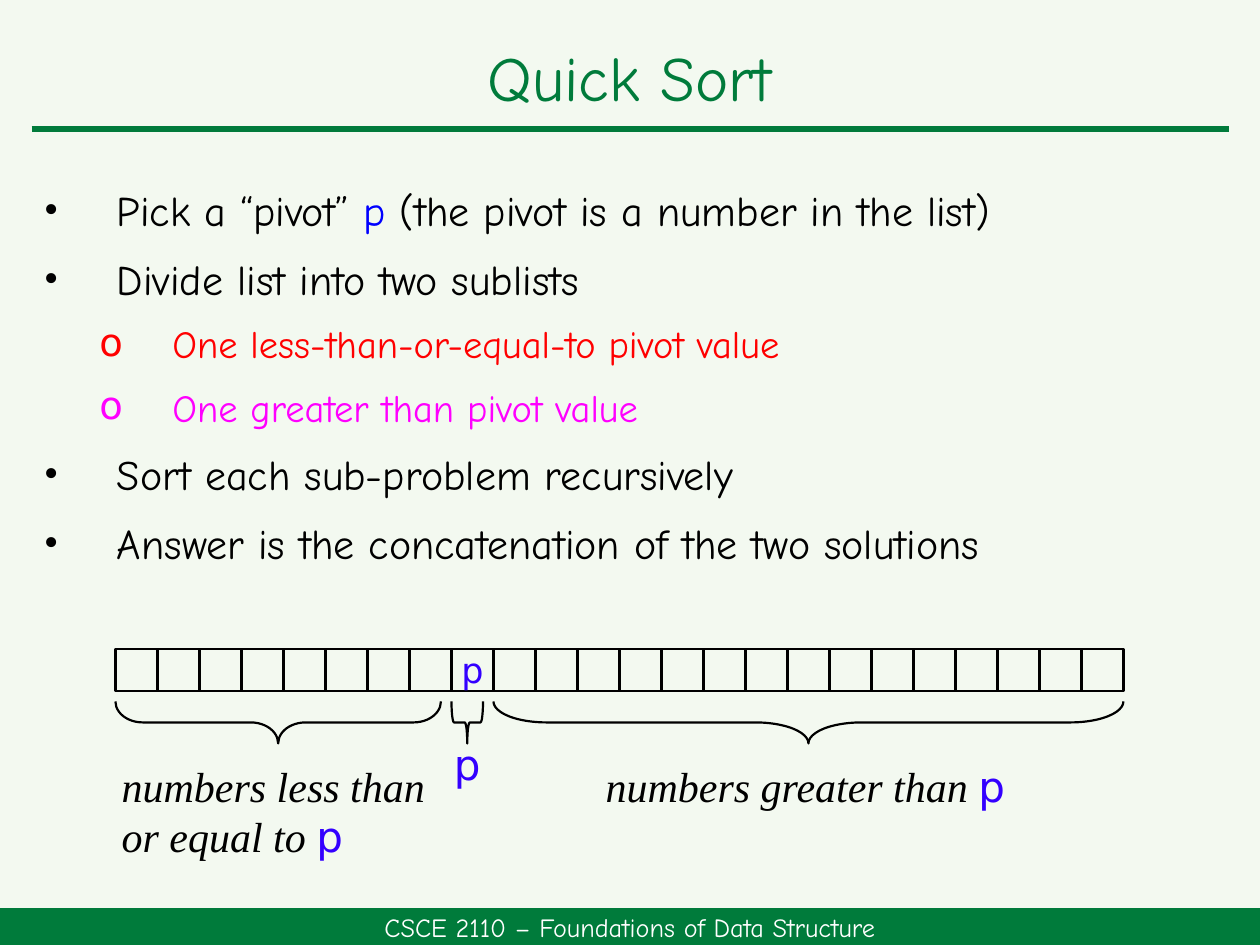
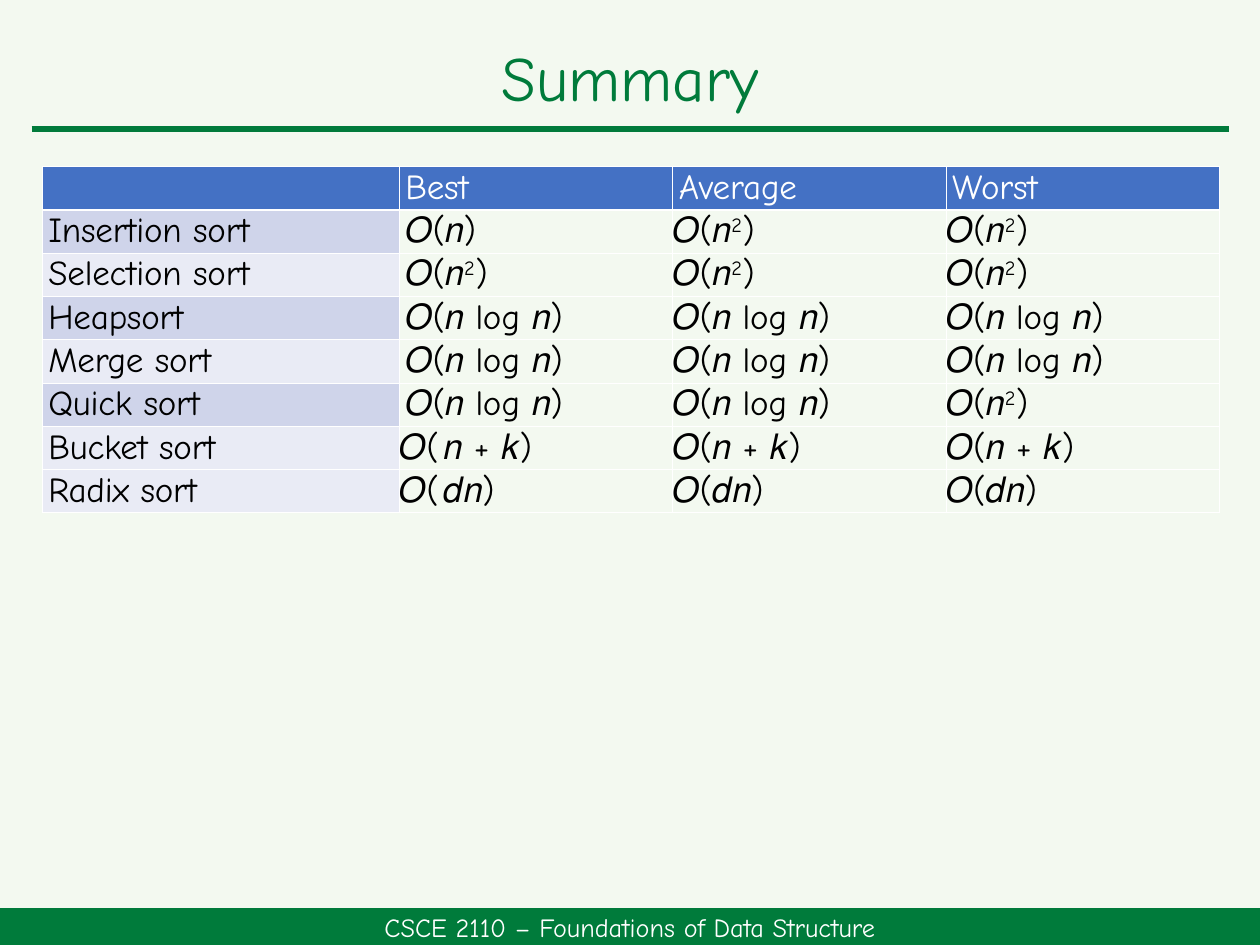
from dataclasses import dataclass

from lxml import etree
from pptx import Presentation
from pptx import util as u
from pptx.dml.color import RGBColor
from pptx.enum import shapes, text
from pptx.oxml.ns import qn


@dataclass(frozen=True)
class Theme:
    font: str = "Comic Neue"
    serif: str = "Times New Roman"
    sans: str = "DejaVu Sans"
    paper: str = "F3F9F0"
    green: str = "007B3B"
    black: str = "000000"
    white: str = "FFFFFF"
    red: str = "FF0000"
    magenta: str = "FF00FF"
    blue: str = "0000FF"
    pivot: str = "3300FF"
    header: str = "4471C4"
    band_dark: str = "CFD4EA"
    band_light: str = "E9EBF5"
    title_size: int = 36
    body_size: int = 24
    sub_size: int = 22
    table_size: int = 20
    footer_size: int = 15


T = Theme()
COLS, ROWS = 120, 90  # grid of twelve units to the inch
CELL = 4
LIST_LEFT, LIST_TOP = 11, 61.8
LIST_CELLS, PIVOT_INDEX = 24, 8
BRACE_TOP = LIST_TOP + 5

# A formula is a list of runs: text, raised, letter spacing in points
LINEAR = [("𝑂(𝑛)", False, 0)]
SQUARE = [("𝑂(", False, 0), ("𝑛", False, 0.2), ("2", True, 0.4), (")", False, 0)]
N_LOG_N = [("𝑂(𝑛 ", False, 0), ("lo", False, -0.1), ("g 𝑛)", False, 0)]
N_PLUS_K = [("𝑂(𝑛 + 𝑘)", False, 0)]
DIGITS = [("𝑂(𝑑𝑛)", False, 0)]
N_PLUS_K_WIDE = [("𝑂", False, 0), ("(", False, 2.7), ("𝑛 + 𝑘)", False, 0)]
DIGITS_WIDE = [("𝑂", False, 0), ("(", False, 2.6), ("𝑑𝑛)", False, 0)]

SUMMARY = [
    ("Insertion sort", LINEAR, SQUARE, SQUARE),
    ("Selection sort", SQUARE, SQUARE, SQUARE),
    ("Heapsort", N_LOG_N, N_LOG_N, N_LOG_N),
    ("Merge sort", N_LOG_N, N_LOG_N, N_LOG_N),
    ("Quick sort", N_LOG_N, N_LOG_N, SQUARE),
    ("Bucket sort", N_PLUS_K_WIDE, N_PLUS_K, N_PLUS_K),
    ("Radix sort", DIGITS_WIDE, DIGITS, DIGITS),
]


def grid(*units):
    return [u.Inches(n / 12) for n in units]


def rgb(color):
    return RGBColor.from_string(color)


def add_run(p, words, size, color, font=T.font, italic=False):
    r = p.add_run()
    r.text = words
    r.font.size, r.font.name, r.font.italic = u.Pt(size), font, italic
    r.font.color.rgb = rgb(color)
    return r


def add_text(s, box, middle=False, align=text.PP_ALIGN.LEFT):
    """Add a wrapping text box and return its text frame."""
    tf = s.shapes.add_textbox(*grid(*box)).text_frame
    tf.word_wrap = True
    if middle:
        tf.vertical_anchor = text.MSO_ANCHOR.MIDDLE
    tf.paragraphs[0].alignment = align
    return tf


def add_outline(s, kind, box, fill=None, line=None):
    sp = s.shapes.add_shape(kind, *grid(*box))
    sp.shadow.inherit = False
    if fill:
        sp.fill.solid()
        sp.fill.fore_color.rgb = rgb(fill)
    else:
        sp.fill.background()
    if line:
        sp.line.color.rgb = rgb(line)
        sp.line.width = u.Pt(1.25)
    else:
        sp.line.fill.background()
    return sp


def center_text(sp):
    """Prepare one centred line in a shape and return its paragraph."""
    tf = sp.text_frame
    tf.word_wrap = False
    tf.vertical_anchor = text.MSO_ANCHOR.MIDDLE
    p = tf.paragraphs[0]
    p.alignment = text.PP_ALIGN.CENTER
    return p


def add_slide(prs, title):
    """Add a slide with the shared background, footer, title and rule."""
    s = prs.slides.add_slide(prs.slide_layouts[6])
    s.background.fill.solid()
    s.background.fill.fore_color.rgb = rgb(T.paper)
    footer = add_outline(s, shapes.MSO_SHAPE.RECTANGLE, (0, 86.5, COLS, 3.5), fill=T.green)
    add_run(center_text(footer), "CSCE 2110 – Foundations of Data Structure",
            T.footer_size, T.white)
    tf = add_text(s, (3, 2.3, COLS - 6, 10), middle=True, align=text.PP_ALIGN.CENTER)
    add_run(tf.paragraphs[0], title, T.title_size, T.green)
    rule = s.shapes.add_connector(shapes.MSO_CONNECTOR.STRAIGHT,
                                  *grid(3, 12.3, COLS - 3, 12.3))
    rule.line.color.rgb = rgb(T.green)
    rule.line.width = u.Pt(3)
    etree.SubElement(rule._element.spPr, qn("a:effectLst"))
    return s


def add_bullet(p, level):
    char, font, left = (("•", T.serif, 0.58), ("o", T.sans, 1.02))[level]
    p.level = level
    p.line_spacing = 1.2
    pPr = p._p.get_or_add_pPr()
    pPr.set("marL", str(u.Inches(left)))
    pPr.set("indent", str(u.Inches(-0.58)))
    before = etree.SubElement(pPr, qn("a:spcBef"))
    etree.SubElement(before, qn("a:spcPct"), val="20000")
    etree.SubElement(pPr, qn("a:buFont"), typeface=font)
    etree.SubElement(pPr, qn("a:buChar"), char=char)


def add_bullets(s, box, items):
    tf = add_text(s, box)
    for i, (level, runs) in enumerate(items):
        p = tf.add_paragraph() if i else tf.paragraphs[0]
        add_bullet(p, level)
        for words, color in runs:
            add_run(p, words, T.sub_size if level else T.body_size, color)


def add_list_cells(s):
    for i in range(LIST_CELLS):
        cell = add_outline(s, shapes.MSO_SHAPE.RECTANGLE,
                           (LIST_LEFT + i * CELL, LIST_TOP, CELL, CELL), line=T.black)
        if i == PIVOT_INDEX:
            add_run(center_text(cell), "p", T.table_size, T.pivot, T.sans)


def add_brace(s, first, count, curve):
    """Add a brace below `count` list cells, starting at cell `first`."""
    span = count * CELL
    middle_x = LIST_LEFT + first * CELL + span / 2
    middle_y = BRACE_TOP + CELL / 2
    box = (middle_x - CELL / 2, middle_y - span / 2, CELL, span)
    brace = add_outline(s, shapes.MSO_SHAPE.LEFT_BRACE, box, line=T.black)
    brace.rotation = 270
    brace.adjustments[0] = curve
    brace.adjustments[1] = 0.5


def add_part_label(s, box, words="", align=text.PP_ALIGN.LEFT):
    """Label a part of the list with words that end in the pivot's letter."""
    p = add_text(s, box, align=align).paragraphs[0]
    p.space_before = u.Pt(15)
    if words:
        add_run(p, words, T.body_size, T.black, T.serif, italic=True)
    add_run(p, "p", T.body_size, T.pivot, T.sans)


def style_cell(cell, fill, top, bottom):
    """Set insets, white borders and fill; top and bottom are line widths."""
    cell.margin_left = cell.margin_right = cell.margin_bottom = 0
    cell.margin_top = u.Inches(0.01)
    tcPr = cell._tc.get_or_add_tcPr()
    for side, width in (("L", 0.5), ("R", 0.5), ("T", top), ("B", bottom)):
        ln = etree.SubElement(tcPr, qn(f"a:ln{side}"), w=str(u.Pt(width)))
        solid = etree.SubElement(ln, qn("a:solidFill"))
        etree.SubElement(solid, qn("a:srgbClr"), val=T.white)
    if fill:
        cell.fill.solid()
        cell.fill.fore_color.rgb = rgb(fill)
    else:
        cell.fill.background()


def fill_cell(cell, runs, color, indented):
    p = cell.text_frame.paragraphs[0]
    p.space_before = u.Pt(1)
    if indented:
        p._p.get_or_add_pPr().set("marL", str(u.Inches(0.05)))
    for words, raised, spacing in runs:
        rPr = add_run(p, words, T.table_size, color).font._element
        if spacing:
            rPr.set("spc", str(round(spacing * 100)))
        if raised:
            rPr.set("baseline", "28000")


def add_summary_table(s):
    rows = [("", "Best", "Average", "Worst"), *SUMMARY]
    widths = grid(34, 26.05, 26.05, 26.05)
    left, top, row_height = grid(4, 15.85, 3.34)
    table = s.shapes.add_table(len(rows), len(widths), left, top,
                               sum(widths), row_height * len(rows)).table
    table.first_row = table.horz_banding = False
    for column, width in zip(table.columns, widths):
        column.width = width
    for i, row in enumerate(rows):
        for j, content in enumerate(row):
            cell = table.cell(i, j)
            if i == 0:
                fill = T.header
            elif j == 0:
                fill = T.band_dark if i in (1, 3, 5) else T.band_light
            else:
                fill = None
            style_cell(cell, fill, 1.5 if i == 1 else 0.5, 1.5 if i == 0 else 0.5)
            if content:
                runs = [(content, False, -0.1)] if isinstance(content, str) else content
                indented = i == 0 or j == 0 or (j == 1 and i <= 5)
                fill_cell(cell, runs, T.white if i == 0 else T.black, indented)


def build_quick_sort(prs):
    s = add_slide(prs, "Quick Sort")
    add_bullets(s, (3, 16, 101, 40), [
        (0, [("Pick a “pivot” ", T.black), ("p", T.blue),
             (" (the pivot is a number in the list)", T.black)]),
        (0, [("Divide list into two sublists", T.black)]),
        (1, [("One less-than-or-equal-to pivot value", T.red)]),
        (1, [("One greater than pivot value", T.magenta)]),
        (0, [("Sort each sub-problem recursively", T.black)]),
        (0, [("Answer is the concatenation of the two solutions", T.black)]),
    ])
    add_list_cells(s)
    add_brace(s, 0, PIVOT_INDEX - 0.25, 0.65)
    add_brace(s, PIVOT_INDEX, 0.75, 0.08)
    add_brace(s, PIVOT_INDEX + 1, LIST_CELLS - PIVOT_INDEX - 1, 1.26)
    add_part_label(s, (10.4, 71.8, 33, 11), "numbers less than or equal to ")
    add_part_label(s, (56.5, 71.8, 43, 6), "numbers greater than ")
    add_part_label(s, (41, 69.7, 7, 6), align=text.PP_ALIGN.CENTER)


def build_summary(prs):
    add_summary_table(add_slide(prs, "Summary"))


def main():
    prs = Presentation()
    prs.slide_width, prs.slide_height = grid(COLS, ROWS)
    build_quick_sort(prs)
    build_summary(prs)
    prs.save("out.pptx")


if __name__ == "__main__":
    main()
